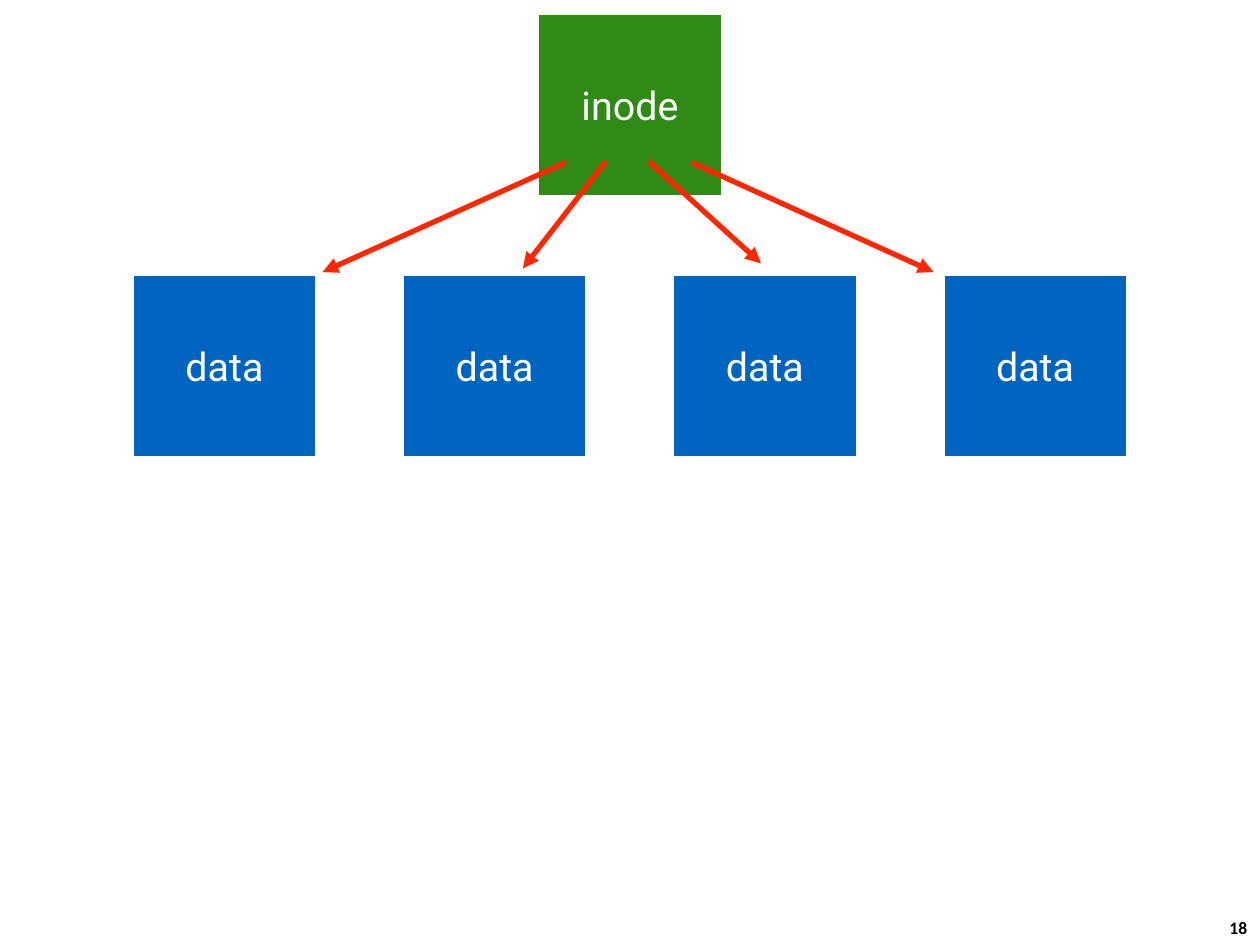
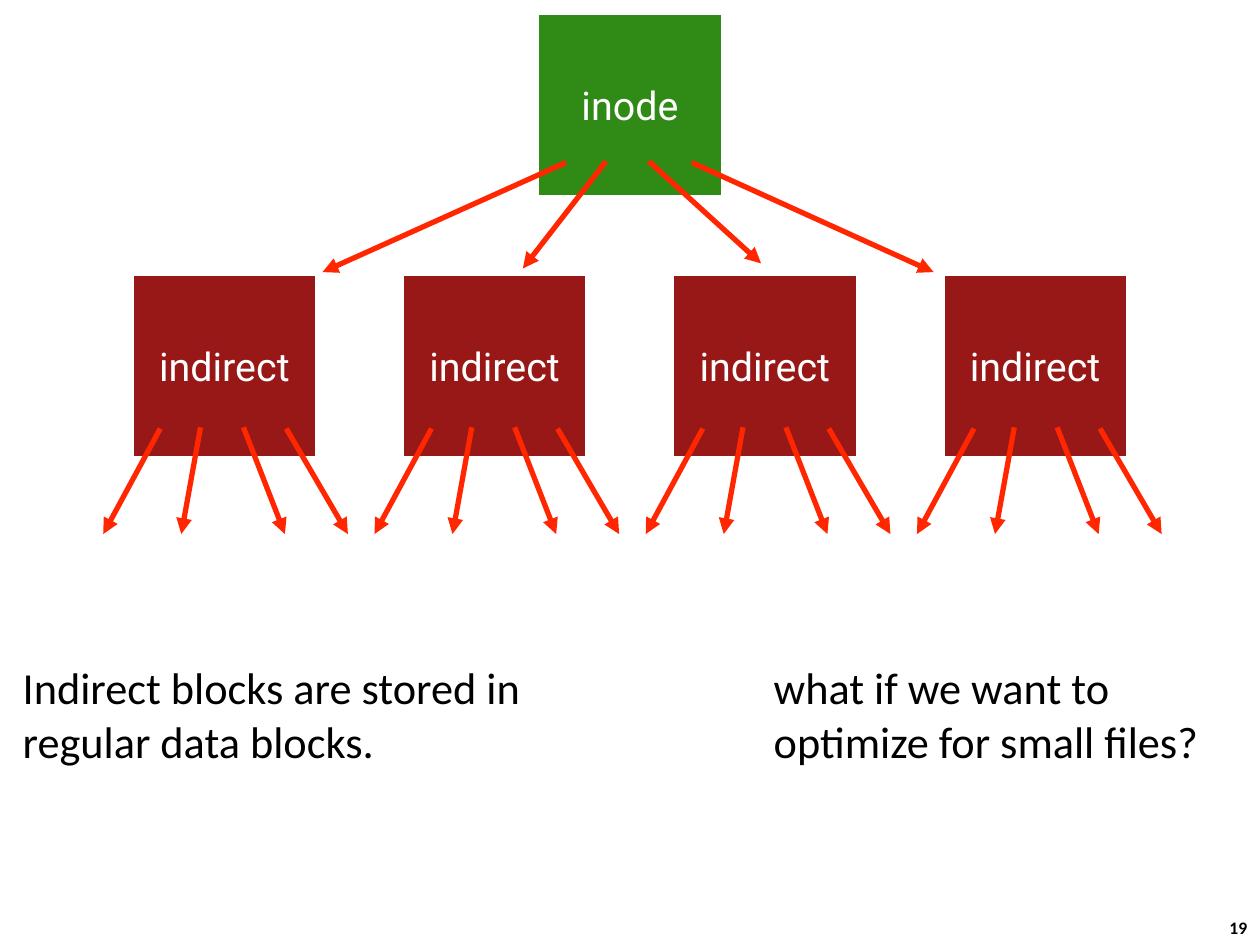
from dataclasses import dataclass

from lxml.etree import SubElement
from pptx import Presentation
from pptx.dml.color import RGBColor
from pptx.enum.shapes import MSO_CONNECTOR, MSO_SHAPE
from pptx.enum.text import MSO_ANCHOR, MSO_AUTO_SIZE, PP_ALIGN
from pptx.oxml import parse_xml
from pptx.oxml.ns import nsdecls, qn
from pptx.util import Pt


@dataclass(frozen=True)
class Theme:
    white: RGBColor = RGBColor(0xFF, 0xFF, 0xFF)
    black: RGBColor = RGBColor(0x00, 0x00, 0x00)
    inode: RGBColor = RGBColor(0x30, 0x8B, 0x16)
    data: RGBColor = RGBColor(0x00, 0x65, 0xC1)
    indirect: RGBColor = RGBColor(0x97, 0x18, 0x17)
    pointer: RGBColor = RGBColor(0xFF, 0x26, 0x00)
    block_font: str = "Roboto"
    body_font: str = "Calibri"
    block_size: float = 22.5
    body_size: float = 25.3
    number_size: int = 10
    stroke: int = 3


THEME = Theme()
FIRST_NUMBER = 18
BLOCK_WIDTH, BLOCK_HEIGHT = 106.6, 105.8
INODE_LEFT, INODE_TOP = 306.7, 7.2
ROW_LEFT, ROW_TOP, ROW_PITCH = 75, 156.2, 154.4
FAN_PITCH = 155
BLOCK_COUNT = 4
TAIL_OFFSETS = [(16.6, 0.7), (39.6, 0), (64.1, 0), (88.6, 0.7)]
INODE_TAIL_DEPTH, INDIRECT_TAIL_DEPTH = 85, 88
INODE_HEADS = [(-122.4, 148.3), (-7.9, 146.2), (128.2, 143.3), (226.8, 148.3)]
INDIRECT_HEADS = [(-16, 149), (28.6, 149), (87.8, 149), (123.8, 149)]


def set_format(target, values):
    for name, value in values.items():
        setattr(target, name, value)


def fill_text(shape, lines, frame_format, font_format, color, alignment, inset):
    frame = shape.text_frame
    margins = ("margin_left", "margin_top", "margin_right", "margin_bottom")
    set_format(frame, frame_format | dict.fromkeys(margins, Pt(inset)))
    for index, line in enumerate(lines):
        paragraph = frame.add_paragraph() if index else frame.paragraphs[0]
        paragraph.alignment = alignment
        run = paragraph.add_run()
        run.text = line
        set_format(run.font, font_format)
        run.font.color.rgb = color


def add_block(slide, label, left, top, color):
    block = slide.shapes.add_shape(
        MSO_SHAPE.RECTANGLE, Pt(left), Pt(top), Pt(BLOCK_WIDTH), Pt(BLOCK_HEIGHT)
    )
    block.shadow.inherit = False
    block.fill.solid()
    block.fill.fore_color.rgb = color
    block.line.color.rgb = THEME.white
    block.line.width = Pt(THEME.stroke)
    fill_text(
        block,
        [label],
        {"vertical_anchor": MSO_ANCHOR.MIDDLE, "word_wrap": True},
        {"name": THEME.block_font, "size": Pt(THEME.block_size)},
        THEME.white,
        PP_ALIGN.CENTER,
        0,
    )


def add_block_row(slide, label, color):
    for column in range(BLOCK_COUNT):
        add_block(slide, label, ROW_LEFT + column * ROW_PITCH, ROW_TOP, color)


def add_pointer(slide, start, end):
    pointer = slide.shapes.add_connector(
        MSO_CONNECTOR.STRAIGHT, *(Pt(value) for value in (*start, *end))
    )
    pointer.line.color.rgb = THEME.pointer
    pointer.line.width = Pt(THEME.stroke)
    SubElement(pointer.line._get_or_add_ln(), qn("a:tailEnd"), type="triangle")
    SubElement(pointer._element.spPr, qn("a:effectLst"))


def add_fan(slide, left, top, tail_depth, heads):
    for (tail_x, tail_drop), (head_x, head_y) in zip(TAIL_OFFSETS, heads):
        start = (left + tail_x, top + tail_depth + tail_drop)
        add_pointer(slide, start, (left + head_x, top + head_y))


def add_remark(slide, lines, left, width):
    remark = slide.shapes.add_textbox(Pt(left), Pt(374.4), Pt(width), Pt(67))
    fill_text(
        remark,
        lines,
        {
            "vertical_anchor": MSO_ANCHOR.MIDDLE,
            "word_wrap": False,
            "auto_size": MSO_AUTO_SIZE.SHAPE_TO_FIT_TEXT,
        },
        {"name": THEME.body_font, "size": Pt(THEME.body_size)},
        THEME.black,
        PP_ALIGN.LEFT,
        2.9,
    )


def add_slide_number(slide, number):
    box = slide.shapes.add_textbox(Pt(695.5), Pt(520.6), Pt(26.6), Pt(19.4))
    set_format(
        box.text_frame,
        {"word_wrap": False, "auto_size": MSO_AUTO_SIZE.SHAPE_TO_FIT_TEXT},
    )
    field = parse_xml(
        f'<a:fld {nsdecls("a")} type="slidenum" '
        'id="{B6F15528-21DE-4FAA-801E-634DDDAF4B2B}">'
        f'<a:rPr lang="en-US" sz="{THEME.number_size * 100}" b="1">'
        f'<a:solidFill><a:srgbClr val="{THEME.black}"/></a:solidFill>'
        f'<a:latin typeface="{THEME.body_font}"/></a:rPr>'
        f"<a:t>{number}</a:t></a:fld>"
    )
    box.text_frame.paragraphs[0]._p.append(field)


def add_inode_slide(presentation, number, label, color):
    slide = presentation.slides.add_slide(presentation.slide_layouts[6])
    add_slide_number(slide, number)
    add_block(slide, "inode", INODE_LEFT, INODE_TOP, THEME.inode)
    add_block_row(slide, label, color)
    add_fan(slide, INODE_LEFT, INODE_TOP, INODE_TAIL_DEPTH, INODE_HEADS)
    return slide


def main():
    presentation = Presentation()
    set_format(presentation, {"slide_width": Pt(720), "slide_height": Pt(540)})
    presentation.element.set("firstSlideNum", str(FIRST_NUMBER))

    add_inode_slide(presentation, FIRST_NUMBER, "data", THEME.data)

    indirect_slide = add_inode_slide(
        presentation, FIRST_NUMBER + 1, "indirect", THEME.indirect
    )
    for column in range(BLOCK_COUNT):
        left = ROW_LEFT + column * FAN_PITCH
        add_fan(indirect_slide, left, ROW_TOP, INDIRECT_TAIL_DEPTH, INDIRECT_HEADS)
    add_remark(
        indirect_slide,
        ["Indirect blocks are stored in", "regular data blocks."],
        10.1,
        293,
    )
    add_remark(
        indirect_slide,
        ["what if we want to", "optimize for small files?"],
        439.2,
        251.3,
    )
    presentation.save("out.pptx")


if __name__ == "__main__":
    main()
